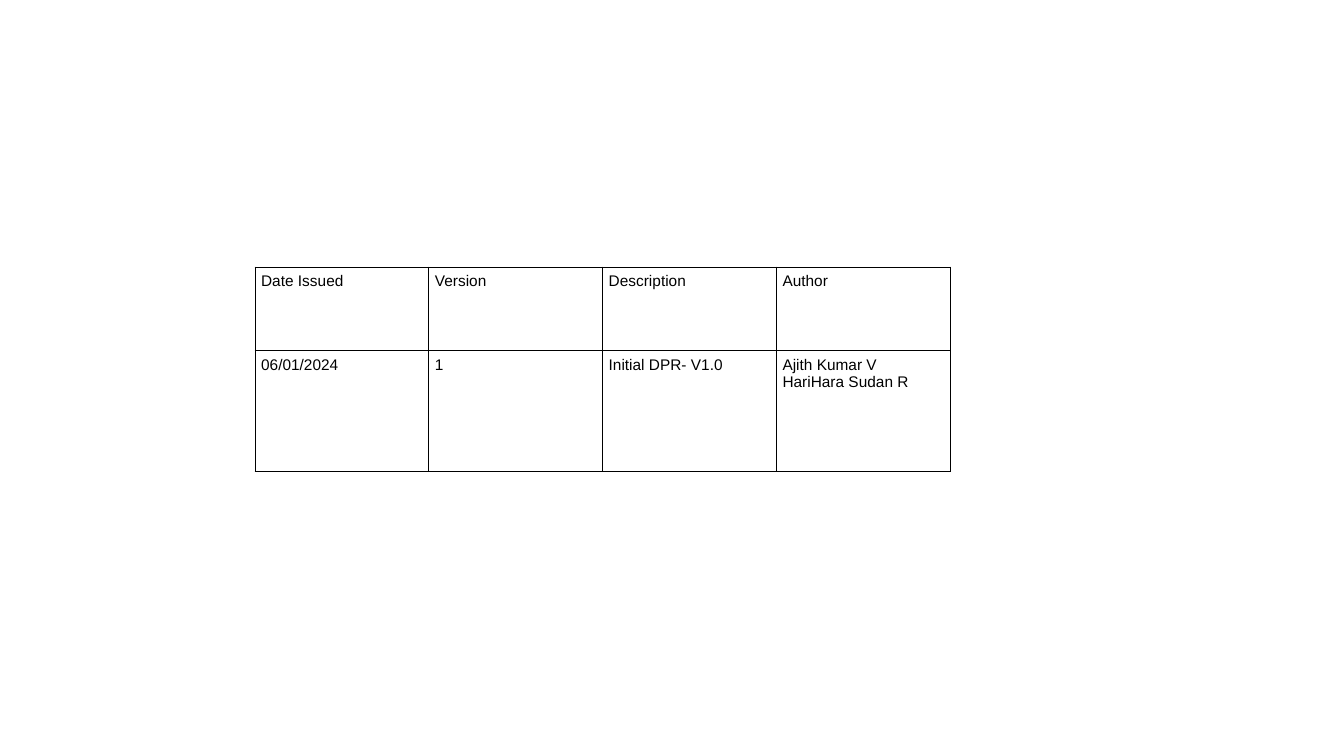
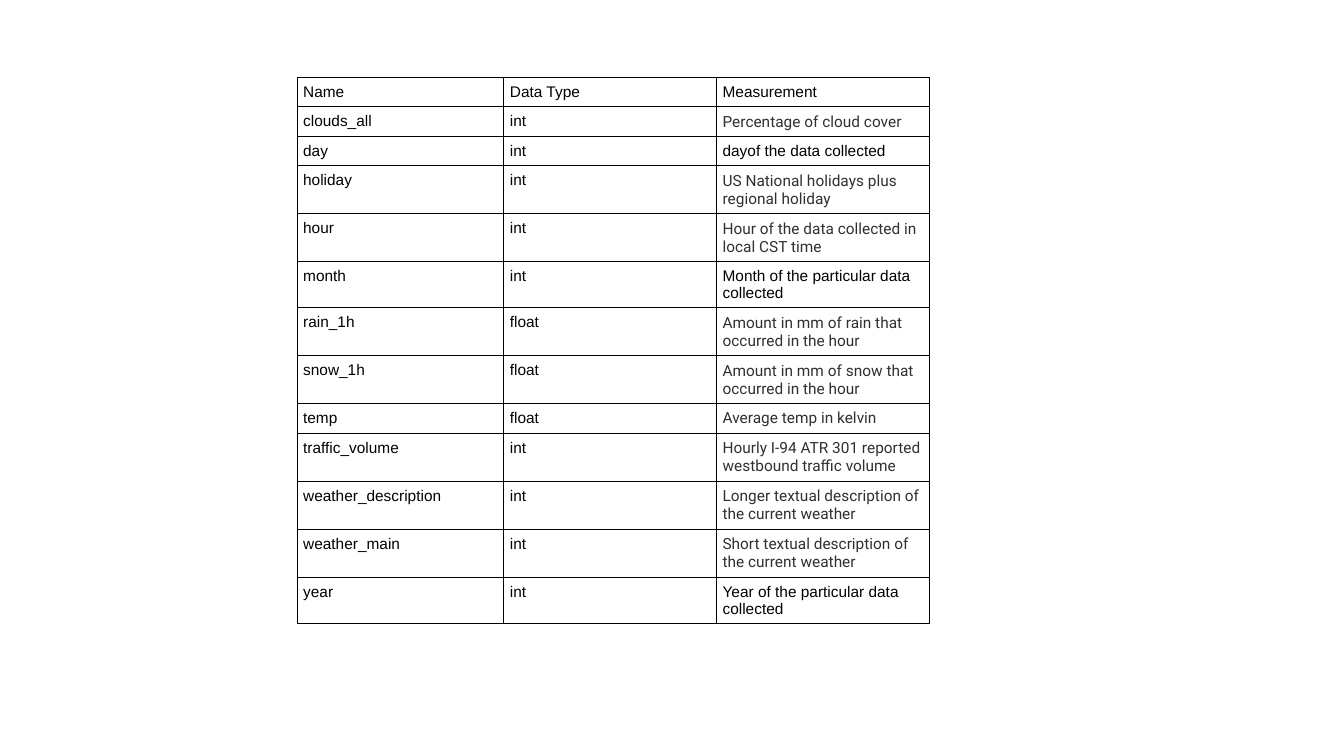
from dataclasses import dataclass

import lxml.etree
import pptx
import pptx.dml.color
import pptx.oxml
import pptx.oxml.ns
import pptx.presentation
import pptx.table
import pptx.util
from pptx.util import Cm

BLACK = pptx.dml.color.RGBColor(0x00, 0x00, 0x00)
CHARCOAL = pptx.dml.color.RGBColor(0x30, 0x30, 0x30)

TEXT_SIZE = pptx.util.Pt(11)
BORDER_WIDTH = pptx.util.Pt(0.75)
CELL_MARGIN = Cm(0.15)
BLANK_LAYOUT = 6


@dataclass(frozen=True)
class TextStyle:
    font: str
    color: pptx.dml.color.RGBColor


@dataclass(frozen=True)
class Entry:
    text: str
    style: TextStyle


@dataclass(frozen=True)
class Grid:
    left: pptx.util.Length
    top: pptx.util.Length
    column_widths: list[pptx.util.Length]
    row_heights: list[pptx.util.Length]
    rows: list[list[Entry]]


BODY = TextStyle("Arial", BLACK)
QUOTED = TextStyle("Roboto", CHARCOAL)


def body_row(*texts: str) -> list[Entry]:
    return [Entry(text, BODY) for text in texts]


def field_row(name: str, data_type: str, measurement: str,
              style: TextStyle = QUOTED) -> list[Entry]:
    return body_row(name, data_type) + [Entry(measurement, style)]


# Version history
HISTORY_ROWS = [
    body_row("Date Issued", "Version", "Description", "Author"),
    body_row("06/01/2024", "1", "Initial DPR- V1.0",
             "Ajith Kumar V\nHariHara Sudan R"),
]
HISTORY = Grid(Cm(6.43), Cm(6.73), [Cm(4.38)] * 4, [Cm(2.11), Cm(3.05)],
               HISTORY_ROWS)

# Data fields; rows grow to fit their text
FIELD_ROWS = [
    body_row("Name", "Data Type", "Measurement"),
    field_row("clouds_all", "int", "Percentage of cloud cover"),
    field_row("day", "int", "dayof the data collected", BODY),
    field_row("holiday", "int", "US National holidays plus regional holiday"),
    field_row("hour", "int", "Hour of the data collected in local CST time"),
    field_row("month", "int", "Month of the particular data collected", BODY),
    field_row("rain_1h", "float",
              "Amount in mm of rain that occurred in the hour"),
    field_row("snow_1h", "float",
              "Amount in mm of snow that occurred in the hour"),
    field_row("temp", "float", "Average temp in kelvin"),
    field_row("traffic_volume", "int",
              "Hourly I-94 ATR 301 reported westbound traffic volume"),
    field_row("weather_description", "int",
              "Longer textual description of the current weather"),
    field_row("weather_main", "int",
              "Short textual description of the current weather"),
    field_row("year", "int", "Year of the particular data collected", BODY),
]
FIELDS = Grid(Cm(7.49), Cm(1.96), [Cm(5.21), Cm(5.36), Cm(5.36)],
              [Cm(0.64)] * len(FIELD_ROWS), FIELD_ROWS)


def add_borders(cell: pptx.table._Cell) -> None:
    """Put a thin line on all four sides; lines precede the fill."""
    properties = cell._tc.get_or_add_tcPr()
    qn = pptx.oxml.ns.qn
    for position, side in enumerate(("lnL", "lnR", "lnT", "lnB")):
        line = lxml.etree.Element(qn(f"a:{side}"), w=str(BORDER_WIDTH))
        fill = lxml.etree.SubElement(line, qn("a:solidFill"))
        lxml.etree.SubElement(fill, qn("a:srgbClr"), val=str(BLACK))
        properties.insert(position, line)


def fill_cell(cell: pptx.table._Cell, entry: Entry) -> None:
    cell.fill.background()
    add_borders(cell)
    cell.margin_left = cell.margin_right = CELL_MARGIN
    cell.margin_top = cell.margin_bottom = CELL_MARGIN
    cell.text_frame.text = entry.text
    for paragraph in cell.text_frame.paragraphs:
        for run in paragraph.runs:
            run.font.name = entry.style.font
            run.font.size = TEXT_SIZE
            run.font.color.rgb = entry.style.color


def add_grid_slide(deck: pptx.presentation.Presentation, grid: Grid) -> None:
    slide = deck.slides.add_slide(deck.slide_layouts[BLANK_LAYOUT])
    table = slide.shapes.add_table(
        len(grid.rows), len(grid.column_widths), grid.left, grid.top,
        sum(grid.column_widths), sum(grid.row_heights)).table
    table.first_row = False
    table.horz_banding = False
    for column, width in zip(table.columns, grid.column_widths):
        column.width = width
    for row, height, entries in zip(table.rows, grid.row_heights, grid.rows):
        row.height = height
        for cell, entry in zip(row.cells, entries):
            fill_cell(cell, entry)


def main() -> None:
    deck = pptx.Presentation()
    deck.slide_width, deck.slide_height = Cm(33.87), Cm(19.05)
    for grid in (HISTORY, FIELDS):
        add_grid_slide(deck, grid)
    deck.save("out.pptx")


if __name__ == "__main__":
    main()
